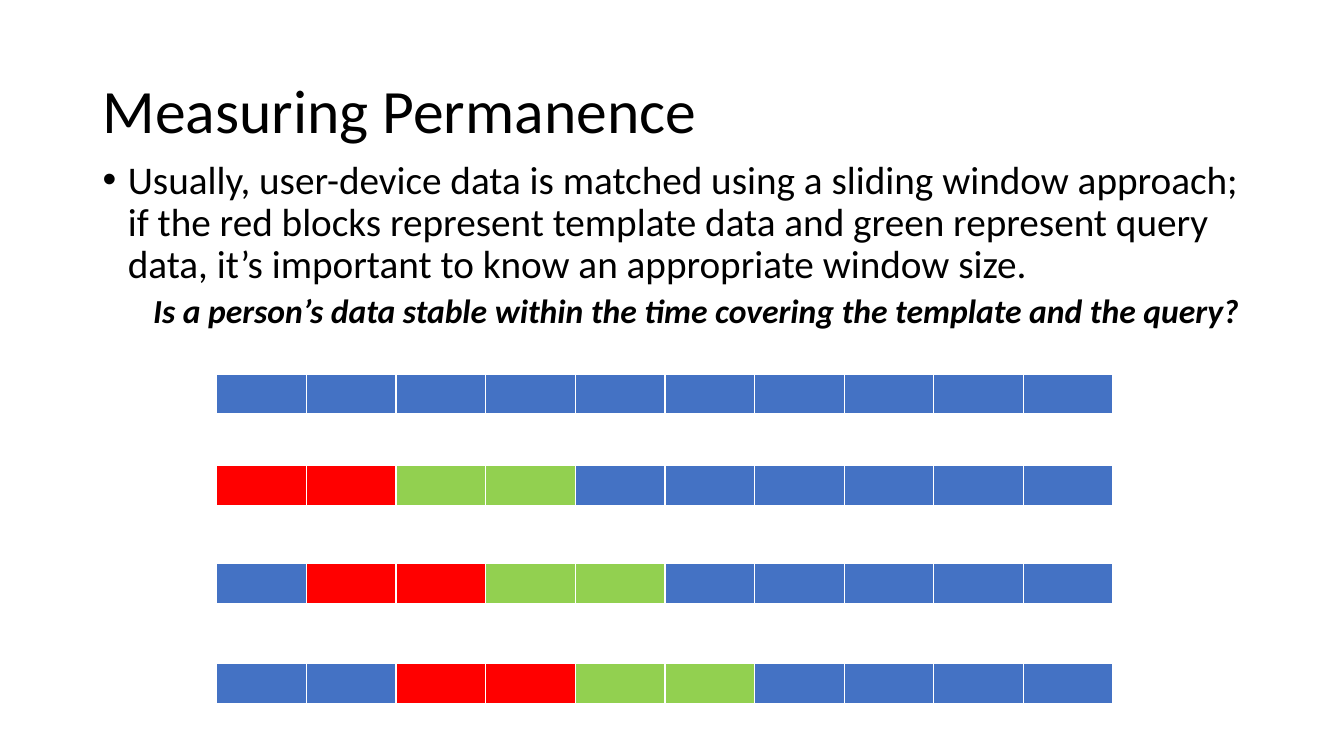
from lxml import etree
from pptx import Presentation
from pptx.dml.color import RGBColor
from pptx.enum.text import MSO_ANCHOR as Anchor
from pptx.oxml.ns import qn
from pptx.util import Inches, Pt

BLACK, WHITE = "000000", "FFFFFF"
BLUE, RED, GREEN = "4472C4", "FF0000", "92D050"
BLOCKS, WINDOW = 10, 2
BORDERS = {"a:lnL": 1, "a:lnR": 1, "a:lnT": 1, "a:lnB": 3}


def color(value):
    return RGBColor.from_string(value)


def add_text_frame(s, box, anchor):
    tf = s.shapes.add_textbox(*map(Inches, box)).text_frame
    tf.word_wrap = True
    tf.vertical_anchor = anchor
    return tf


def add_run(p, text, size, emphasis=False):
    p.line_spacing = 0.9
    r = p.add_run()
    r.text = text
    r.font.name, r.font.size = "Calibri", Pt(size)
    r.font.bold = r.font.italic = emphasis
    r.font.color.rgb = color(BLACK)


def set_indent(p, left, first=0, bullet=None):
    pPr = p._p.get_or_add_pPr()
    pPr.set("marL", str(Inches(left)))
    pPr.set("indent", str(Inches(first)))
    if bullet:
        etree.SubElement(pPr, qn("a:buFont")).set("typeface", "Arial")
        etree.SubElement(pPr, qn("a:buChar")).set("char", bullet)
    else:
        etree.SubElement(pPr, qn("a:buNone"))


def add_title(s, box):
    tf = add_text_frame(s, box, Anchor.MIDDLE)
    add_run(tf.paragraphs[0], "Measuring Permanence", 44)


def add_body(s, box):
    tf = add_text_frame(s, box, Anchor.TOP)
    p = tf.paragraphs[0]
    p.space_before = Pt(10)
    add_run(p, "Usually, user-device data is matched using a sliding window "
               "approach; if the red blocks represent template data and green "
               "represent query data, it’s important to know an appropriate "
               "window size.", 28)
    set_indent(p, 0.25, -0.25, "•")
    p = tf.add_paragraph()
    p.level = 1
    p.space_before = Pt(5)
    add_run(p, "Is a person’s data stable within the time covering the "
               "template and the query?", 24, emphasis=True)
    set_indent(p, 0.5)


def style_block(cell, fill):
    cell.fill.solid()
    cell.fill.fore_color.rgb = color(fill)
    tcPr = cell._tc.get_or_add_tcPr()
    for i, (tag, width) in enumerate(BORDERS.items()):
        ln = etree.Element(qn(tag), w=str(Pt(width)))
        solid = etree.SubElement(ln, qn("a:solidFill"))
        etree.SubElement(solid, qn("a:srgbClr")).set("val", WHITE)
        tcPr.insert(i, ln)


def add_timeline(s, box, start=None):
    """Draw a row of blocks; template and query windows begin at start."""
    fills = [BLUE] * BLOCKS
    if start is not None:
        fills[start:start + 2 * WINDOW] = [RED] * WINDOW + [GREEN] * WINDOW
    table = s.shapes.add_table(1, BLOCKS, *map(Inches, box)).table
    table.first_row = table.horz_banding = False
    for cell, fill in zip(table.rows[0].cells, fills):
        style_block(cell, fill)


def main():
    prs = Presentation()
    prs.slide_width, prs.slide_height = Inches(13.33), Inches(7.5)
    s = prs.slides.add_slide(prs.slide_layouts[6])
    add_title(s, (0.92, 0.4, 11.5, 1.45))
    add_body(s, (0.92, 1.54, 11.5, 4.76))
    for top, start in ((3.71, None), (4.62, 0), (5.59, 1), (6.58, 2)):
        add_timeline(s, (2.15, top, 8.89, 0.41), start)
    prs.save("out.pptx")


if __name__ == "__main__":
    main()
